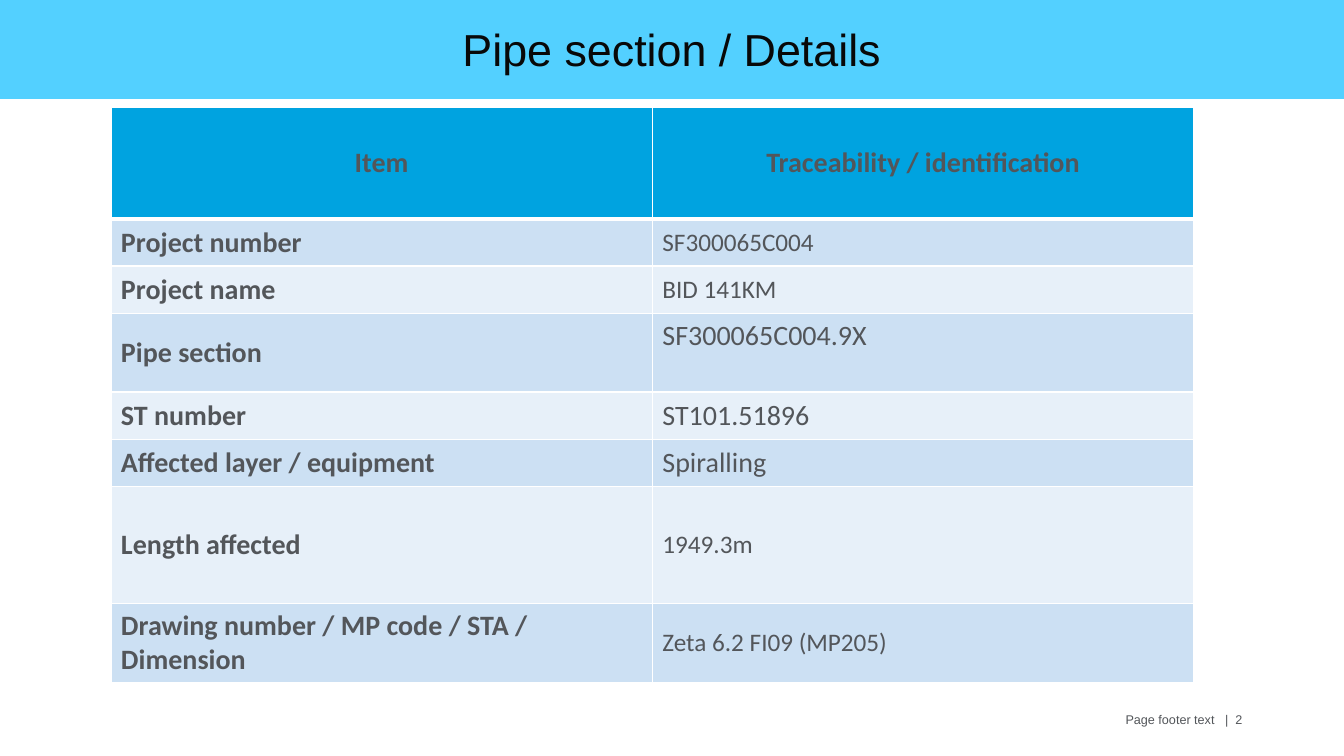
from dataclasses import dataclass

from lxml import etree
from pptx import Presentation
from pptx.dml.color import RGBColor
from pptx.enum.text import MSO_ANCHOR, PP_ALIGN
from pptx.oxml.ns import qn
from pptx.slide import Slide
from pptx.table import _Cell
from pptx.text.text import TextFrame
from pptx.util import Emu, Inches, Pt

LEFT, MID, RIGHT = PP_ALIGN.LEFT, PP_ALIGN.CENTER, PP_ALIGN.RIGHT
TOP, HALF = MSO_ANCHOR.TOP, MSO_ANCHOR.MIDDLE
UNIT = Inches(0.01)
WIDE, HIGH = 1333, 750


@dataclass(frozen=True)
class Theme:
    ink: str = "53565A"
    dark: str = "080808"
    bar: str = "53D0FF"
    head: str = "00A3E0"
    bands: tuple[str, str] = ("CCE0F3", "E7F0F9")
    rule: str = "FFFFFF"
    sans: str = "Arial"
    body: str = "Calibri"
    title: int = 32
    label: int = 20
    value: int = 18
    foot: int = 9


@dataclass(frozen=True)
class Row:
    label: str
    value: str
    rows: int = 47
    size: int = 18
    anchor: MSO_ANCHOR = HALF


THEME = Theme()
HEAD = Row("Item", "Traceability / identification", 110, THEME.label)
ITEMS = [
    Row("Project number", "SF300065C004"),
    Row("Project name", "BID 141KM"),
    Row("Pipe section", "SF300065C004.9X", 78, THEME.label, TOP),
    Row("ST number", "ST101.51896", size=THEME.label),
    Row("Affected layer / equipment", "Spiralling", size=THEME.label),
    Row("Length affected", "1949.3m", 116),
    Row("Drawing number / MP code / STA / Dimension", "Zeta 6.2 FI09 (MP205)", 78),
]


def grid(*cells: int) -> list[Emu]:
    return [Emu(n * UNIT) for n in cells]


def write(frame: TextFrame, text: str, *, size: int, font: str = THEME.body,
          color: str = THEME.ink, bold: bool = False, align: PP_ALIGN = LEFT) -> None:
    frame.word_wrap = True
    para = frame.paragraphs[0]
    para.alignment = align
    run = para.add_run()
    run.text = text
    run.font.size = Pt(size)
    run.font.name = font
    run.font.bold = bold
    run.font.color.rgb = RGBColor.from_string(color)


def edge(cell: _Cell, side: str, width: int) -> None:
    props = cell._tc.get_or_add_tcPr()
    line = etree.SubElement(props, qn(f"a:ln{side}"), w=str(Pt(width)))
    fill = etree.SubElement(line, qn("a:solidFill"))
    etree.SubElement(fill, qn("a:srgbClr"), val=THEME.rule)


def style(cell: _Cell, fill: str, top: int, base: int, anchor: MSO_ANCHOR) -> None:
    for side, width in zip("LRTB", (1, 1, top, base)):
        edge(cell, side, width)
    cell.fill.solid()
    cell.fill.fore_color.rgb = RGBColor.from_string(fill)
    cell.vertical_anchor = anchor


def draw_title(slide: Slide, text: str) -> None:
    title = slide.shapes.title
    title.left, title.top, title.width, title.height = grid(0, -1, WIDE, 99)
    title.fill.solid()
    title.fill.fore_color.rgb = RGBColor.from_string(THEME.bar)
    title.text_frame.vertical_anchor = HALF
    write(title.text_frame, text, size=THEME.title, font=THEME.sans,
          color=THEME.dark, align=MID)


def draw_table(slide: Slide, rows: list[Row]) -> None:
    total = sum(row.rows for row in rows)
    table = slide.shapes.add_table(len(rows), 2, *grid(110, 107, 1074, total)).table
    for i, row in enumerate(rows):
        table.rows[i].height = grid(row.rows)[0]
        head = i == 0
        fill = THEME.head if head else THEME.bands[(i - 1) % 2]
        align = MID if head else LEFT
        top, base = (3 if i == 1 else 1), (3 if head else 1)
        label, value = table.cell(i, 0), table.cell(i, 1)
        style(label, fill, top, base, HALF)
        style(value, fill, top, base, row.anchor)
        write(label.text_frame, row.label, size=THEME.label, bold=True, align=align)
        write(value.text_frame, row.value, size=row.size, bold=head, align=align)


def draw_foot(slide: Slide, text: str) -> None:
    box = slide.shapes.add_textbox(*grid(912, 701, 330, 40))
    write(box.text_frame, text, size=THEME.foot, font=THEME.sans, align=RIGHT)


def main() -> None:
    deck = Presentation()
    deck.slide_width, deck.slide_height = grid(WIDE, HIGH)
    slide = deck.slides.add_slide(deck.slide_layouts[5])
    draw_title(slide, "Pipe section / Details")
    draw_table(slide, [HEAD, *ITEMS])
    draw_foot(slide, "Page footer text   |  2")
    deck.save("out.pptx")


if __name__ == "__main__":
    main()
